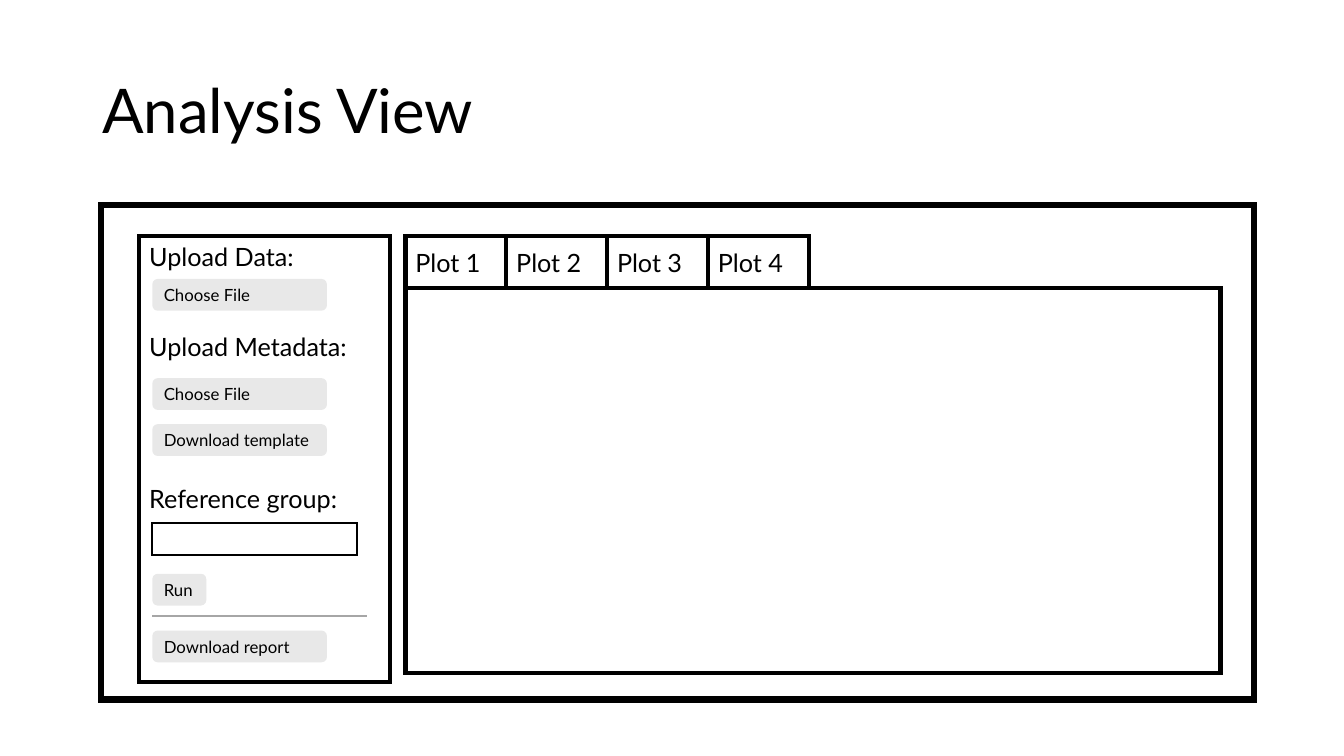
"""Build the Analysis View wireframe slide."""
import pptx
import pptx.util
import pptx.dml.color
import pptx.enum.shapes
import pptx.enum.text
import pptx.oxml.ns
import lxml.etree

Cm = pptx.util.Cm
Pt = pptx.util.Pt
SHAPES = pptx.enum.shapes.MSO_SHAPE
ANCHOR = pptx.enum.text.MSO_ANCHOR
qn = pptx.oxml.ns.qn
COLOURS = {"ink": "000000", "button": "E8E8E8", "divider": "A6A6A6"}
RGB = {name: pptx.dml.color.RGBColor.from_string(value) for name, value in COLOURS.items()}


def add_text(shape, lines, size, anchor=ANCHOR.MIDDLE):
    """Write left-aligned lines, each given as (text, space before in points)."""
    frame = shape.text_frame
    frame.word_wrap = True
    frame.vertical_anchor = anchor
    for index, (text, space) in enumerate(lines):
        paragraph = frame.paragraphs[0] if index == 0 else frame.add_paragraph()
        paragraph.alignment = pptx.enum.text.PP_ALIGN.LEFT
        paragraph.space_before = Pt(space)
        run = paragraph.add_run()
        run.text = text
        run.font.name = "Lato"
        run.font.size = Pt(size)
        run.font.color.rgb = RGB["ink"]


def add_box(left, top, width, height, line_width=None):
    """Add an outlined rectangle, or a filled rounded button without line_width."""
    kind = SHAPES.RECTANGLE if line_width else SHAPES.ROUNDED_RECTANGLE
    shape = slide.shapes.add_shape(kind, Cm(left), Cm(top), Cm(width), Cm(height))
    shape.shadow.inherit = False
    if line_width:
        shape.fill.background()
        shape.line.color.rgb = RGB["ink"]
        shape.line.width = Pt(line_width)
        lxml.etree.SubElement(shape.line._get_or_add_ln(), qn("a:miter"), lim="800000")
    else:
        shape.fill.solid()
        shape.fill.fore_color.rgb = RGB["button"]
        shape.line.fill.background()
    return shape


presentation = pptx.Presentation()
presentation.slide_width = Cm(33.87)
presentation.slide_height = Cm(19.05)
slide = presentation.slides.add_slide(presentation.slide_layouts[6])

title = slide.shapes.add_textbox(Cm(2.33), Cm(1.01), Cm(29.21), Cm(3.68))
add_text(title, [("Analysis View", 0)], 44)
title.text_frame.paragraphs[0].line_spacing = 0.9

add_box(2.55, 5.17, 29.05, 12.46, 4.5)
add_box(10.22, 7.25, 20.54, 9.72, 3)

tab_width = 2.54
for number in range(4):
    tab = add_box(10.22 + number * tab_width, 5.95, tab_width, 1.31, 3)
    add_text(tab, [(f"Plot {number + 1}", 0)], 18)

sidebar = add_box(3.51, 5.95, 6.33, 11.23, 3)
headings = [("Upload Data:", 0), ("Upload Metadata:", 43.2), ("Reference group:", 86.4)]
add_text(sidebar, headings, 18, ANCHOR.TOP)

control_left, control_height = 3.84, 0.8
buttons = [
    ("Choose File", 7.03, 4.4),
    ("Choose File", 9.53, 4.4),
    ("Download template", 10.69, 4.4),
    ("Run", 14.46, 1.36),
    ("Download report", 15.89, 4.4),
]
for label, top, width in buttons:
    button = add_box(control_left, top, width, control_height)
    add_text(button, [(label, 0)], 12)

add_box(control_left, 13.18, 5.17, control_height, 1.5)

divider = slide.shapes.add_connector(
    pptx.enum.shapes.MSO_CONNECTOR.STRAIGHT, Cm(control_left), Cm(15.52), Cm(9.25), Cm(15.52)
)
divider.line.color.rgb = RGB["divider"]
divider.line.width = Pt(1.5)
lxml.etree.SubElement(divider._element.spPr, qn("a:effectLst"))

presentation.save("out.pptx")
